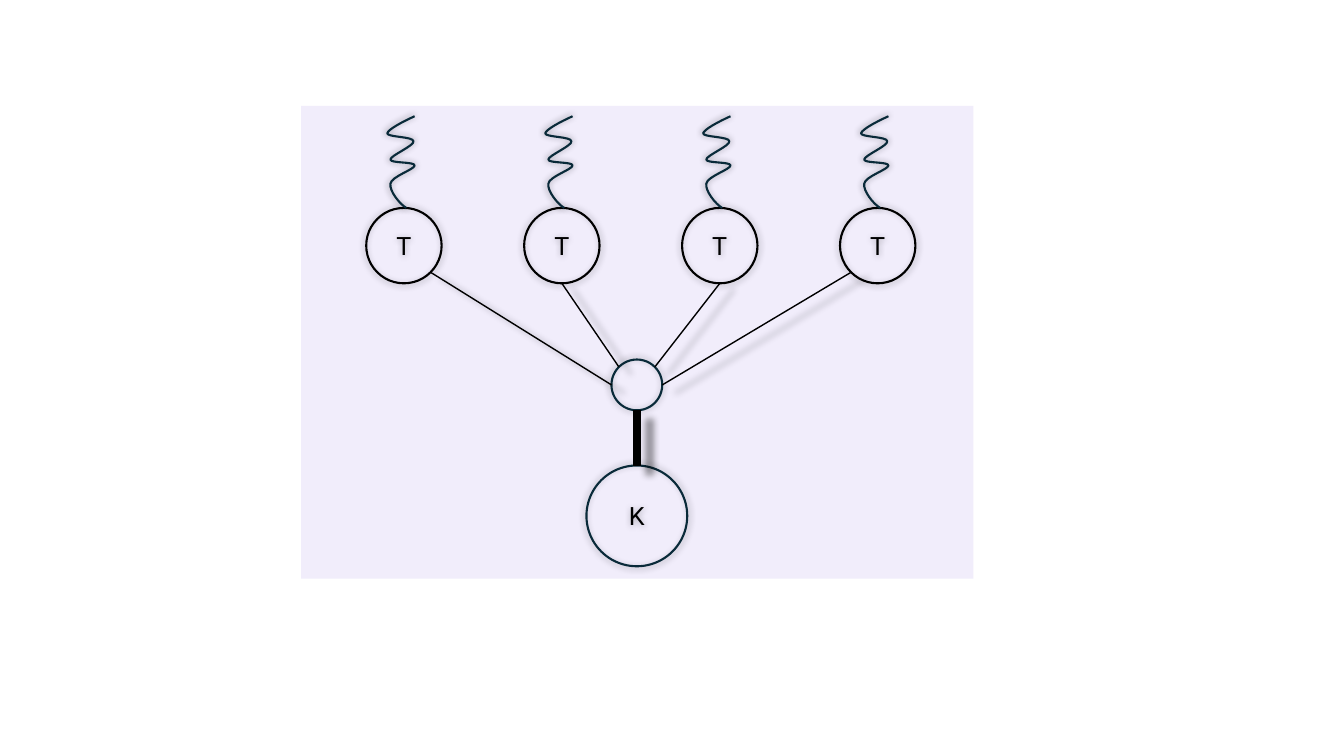
from math import cos, radians, sin

from lxml.etree import SubElement
from pptx import Presentation
from pptx.dml.color import RGBColor
from pptx.enum.shapes import MSO_CONNECTOR as CONN, MSO_SHAPE as SHAPE
from pptx.enum.text import MSO_ANCHOR as ANCHOR, PP_ALIGN as ALIGN
from pptx.oxml.ns import qn
from pptx.util import Cm, Pt

BLACK, NAVY, LILAC = "000000", "092A39", "F1EDFB"
SPRING = [
    (0.27, -2.31), (-0.06, -2.16), (-0.39, -1.98), (-0.42, -1.88),
    (-0.42, -1.78), (0.24, -1.8), (0.24, -1.68),
    (0.27, -1.57), (-0.34, -1.32), (-0.34, -1.22),
    (-0.34, -1.12), (0.27, -1.17), (0.27, -1.07),
    (0.27, -0.97), (-0.32, -0.79), (-0.34, -0.61),
    (-0.37, -0.43), (-0.11, -0.1), (0.06, 0),
]


def rgb(value):
    return RGBColor.from_string(value)


def add_text(tf, text, font="Roboto", size=18, color=BLACK):
    tf.vertical_anchor = ANCHOR.MIDDLE
    p = tf.paragraphs[0]
    p.alignment = ALIGN.CENTER
    r = p.add_run()
    r.text = text
    r.font.name, r.font.size = font, Pt(size)
    r.font.color.rgb = rgb(color)


def rim(circle, angle):
    cx, cy, radius = circle
    a = radians(angle)
    return cx + radius * cos(a), cy + radius * sin(a)


class Canvas:
    def __init__(self, s):
        self.s = s

    def stroke(self, sp, color, width):
        sp.line.color.rgb = rgb(color)
        sp.line.width = Pt(width)

    def glow(self, sp, alpha):
        effects = SubElement(sp._element.spPr, qn("a:effectLst"))
        shadow = SubElement(effects, qn("a:outerShdw"), blurRad=str(Pt(5)),
                            sx="102000", sy="102000", algn="ctr", rotWithShape="0")
        color = SubElement(shadow, qn("a:srgbClr"), val=BLACK)
        SubElement(color, qn("a:alpha"), val=str(alpha * 1000))

    def panel(self, x, y, w, h, fill):
        sp = self.s.shapes.add_shape(SHAPE.RECTANGLE, Cm(x), Cm(y), Cm(w), Cm(h))
        sp.shadow.inherit = False
        sp.fill.solid()
        sp.fill.fore_color.rgb = rgb(fill)
        sp.line.fill.background()

    def circle(self, circle, color, text=None):
        cx, cy, radius = circle
        sp = self.s.shapes.add_shape(SHAPE.OVAL, Cm(cx - radius), Cm(cy - radius),
                                     Cm(2 * radius), Cm(2 * radius))
        sp.fill.background()
        self.stroke(sp, color, 1.5)
        self.glow(sp, 30)
        if text:
            add_text(sp.text_frame, text)

    def link(self, start, end, width=1):
        ends = [Cm(v) for v in (*start, *end)]
        line = self.s.shapes.add_connector(CONN.STRAIGHT, *ends)
        self.stroke(line, BLACK, width)
        self.glow(line, 40)

    def curve(self, x, y, points):
        pts = [(Cm(x + dx), Cm(y + dy)) for dx, dy in points]
        builder = self.s.shapes.build_freeform(*pts[0])
        builder.add_line_segments(pts[1:], close=False)
        sp = builder.convert_to_shape()
        steps = list(sp._element.iter(qn("a:lnTo")))
        for i in range(0, len(steps), 3):
            bezier = SubElement(steps[i].getparent(), qn("a:cubicBezTo"))
            for step in steps[i:i + 3]:
                bezier.append(step[0])
                step.getparent().remove(step)
        sp.fill.background()
        self.stroke(sp, NAVY, 1.5)
        self.glow(sp, 40)


def main():
    prs = Presentation()
    prs.slide_width, prs.slide_height = Cm(33.87), Cm(19.05)
    c = Canvas(prs.slides.add_slide(prs.slide_layouts[6]))

    root = (16.05, 13, 1.27)
    hub = (16.05, 9.7, 0.64)
    leaves = [(10.18 + 3.98 * i, 6.19, 0.95) for i in range(4)]

    c.panel(7.59, 2.67, 16.94, 11.91, LILAC)
    c.circle(root, NAVY, "K")
    for leaf in leaves:
        c.circle(leaf, BLACK, "T")
    c.circle(hub, NAVY)

    c.link(rim(hub, 90), rim(root, 270), width=6)
    for leaf, out, into in zip(leaves, (45, 90, 90, 135), (180, 225, 315, 0)):
        c.link(rim(leaf, out), rim(hub, into))
    for leaf in leaves:
        c.curve(*rim(leaf, 270), SPRING)

    prs.save("out.pptx")


if __name__ == "__main__":
    main()
